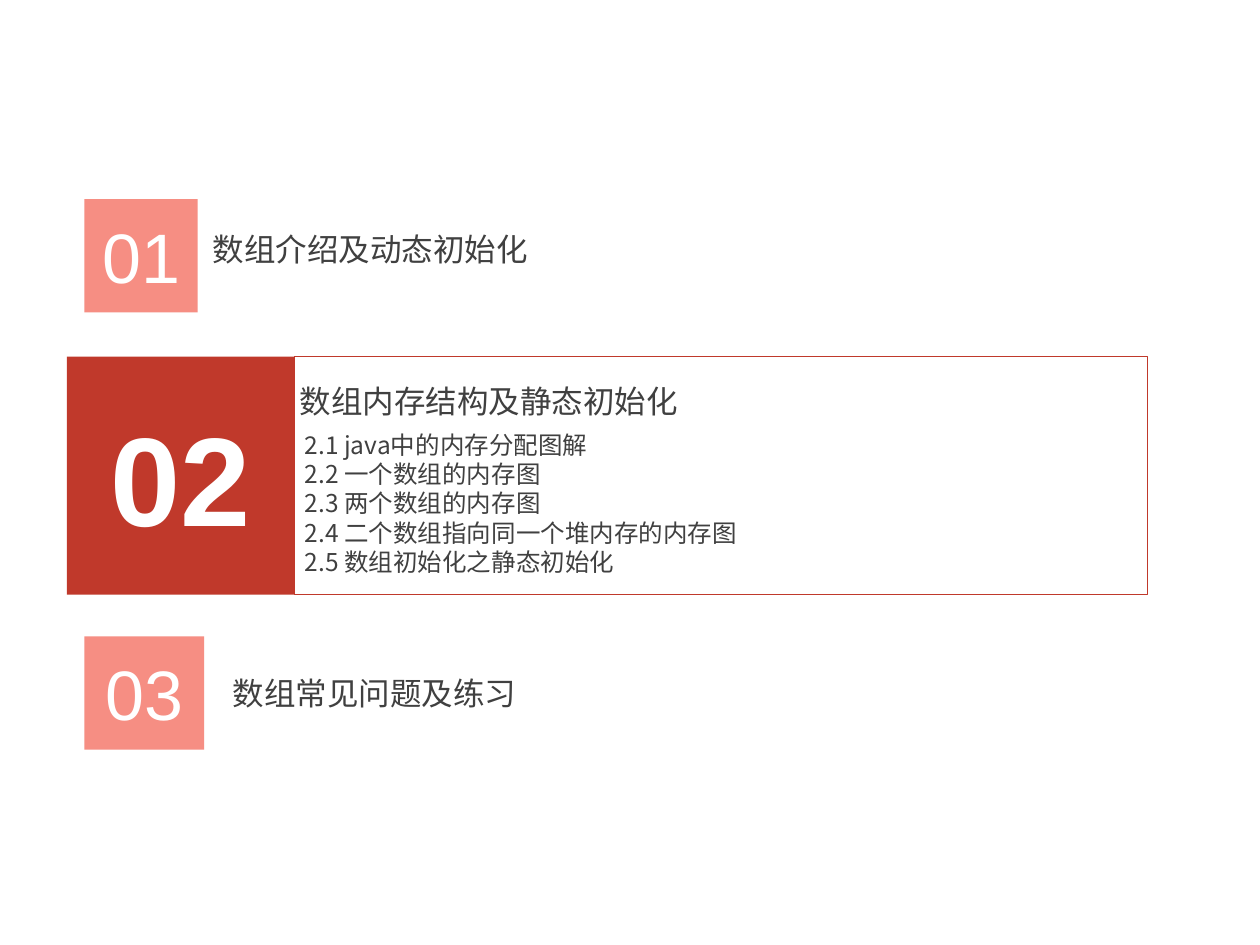
from lxml import etree
from pptx import Presentation
from pptx import util as u
from pptx.dml.color import RGBColor
from pptx.enum import shapes, text
from pptx.oxml.ns import qn

COLUMNS, ROWS = 1000, 750
RED, PINK, WHITE, GREY = "C0392B", "F47264", "FFFFFF", "404040"
HEADING_FONT, NUMBER_FONT = "Noto Sans CJK SC", "Arial"

deck = Presentation()
deck.slide_width, deck.slide_height = u.Inches(10), u.Inches(7.5)
page = deck.slides.add_slide(deck.slide_layouts[6])


def color(value):
    return RGBColor.from_string(value)


def place(left, top, width, height):
    column, row = deck.slide_width / COLUMNS, deck.slide_height / ROWS
    return [u.Emu(round(n)) for n in
            (left * column, top * row, width * column, height * row)]


def write(frame, lines, size, font=HEADING_FONT, ink=GREY, bold=False,
          align=text.PP_ALIGN.LEFT, anchor=text.MSO_ANCHOR.TOP, wrap=True):
    frame.word_wrap = wrap
    frame.vertical_anchor = anchor
    for index, line in enumerate(lines):
        para = frame.paragraphs[0] if index == 0 else frame.add_paragraph()
        para.alignment = align
        span = para.add_run()
        span.text = line
        span.font.size = u.Pt(size)
        span.font.name = font
        span.font.bold = bold
        span.font.color.rgb = color(ink)
        etree.SubElement(span.font._element, qn("a:ea"), typeface=font)


def add_text(box, lines, size, **style):
    label = page.shapes.add_textbox(*place(*box))
    write(label.text_frame, lines, size, **style)


def add_panel(box, fill=None, alpha=100, line=None):
    panel = page.shapes.add_shape(shapes.MSO_SHAPE.RECTANGLE, *place(*box))
    panel.shadow.inherit = False
    if fill:
        panel.fill.solid()
        panel.fill.fore_color.rgb = color(fill)
        if alpha < 100:
            tint = panel.fill._xPr.find(".//" + qn("a:srgbClr"))
            etree.SubElement(tint, qn("a:alpha"), val=str(alpha * 1000))
    else:
        panel.fill.background()
    if line:
        panel.line.color.rgb = color(line)
        panel.line.width = u.Pt(0.5)
    else:
        panel.line.fill.background()
    return panel


def add_number(box, number, size, bold=False, **look):
    tile = add_panel(box, **look)
    write(tile.text_frame, [number], size, font=NUMBER_FONT, ink=WHITE, bold=bold,
          align=text.PP_ALIGN.CENTER, anchor=text.MSO_ANCHOR.MIDDLE)


def add_chapter(box, number, title, tile_width, gap, drop):
    left, top, width, height = box
    add_number((left, top, tile_width, height), number, 40, fill=PINK, alpha=80)
    start = tile_width + gap
    add_text((left + start, top + drop, width - start, 40), [title], 18, wrap=False)


def add_current_chapter(box, number, title, sections, tile_width):
    left, top, width, height = box
    edge = left + tile_width
    add_number((left, top, tile_width, height), number, 72, bold=True, fill=RED)
    add_text((edge - 2, top + 53, width - tile_width, 128), sections, 14)
    add_panel((edge, top, width - tile_width, height), line=RED)
    add_text((edge - 6, top + 15, 323, 40), [title], 18, wrap=False)


add_chapter((67, 158, 365, 90), "01", "数组介绍及动态初始化",
            tile_width=90, gap=2, drop=20)
add_current_chapter((53, 283, 858, 189), "02", "数组内存结构及静态初始化",
                    ["2.1 java中的内存分配图解",
                     "2.2 一个数组的内存图",
                     "2.3 两个数组的内存图",
                     "2.4 二个数组指向同一个堆内存的内存图",
                     "2.5 数组初始化之静态初始化"],
                    tile_width=181)
add_chapter((67, 505, 409, 90), "03", "数组常见问题及练习",
            tile_width=95, gap=13, drop=25)

deck.save("out.pptx")
